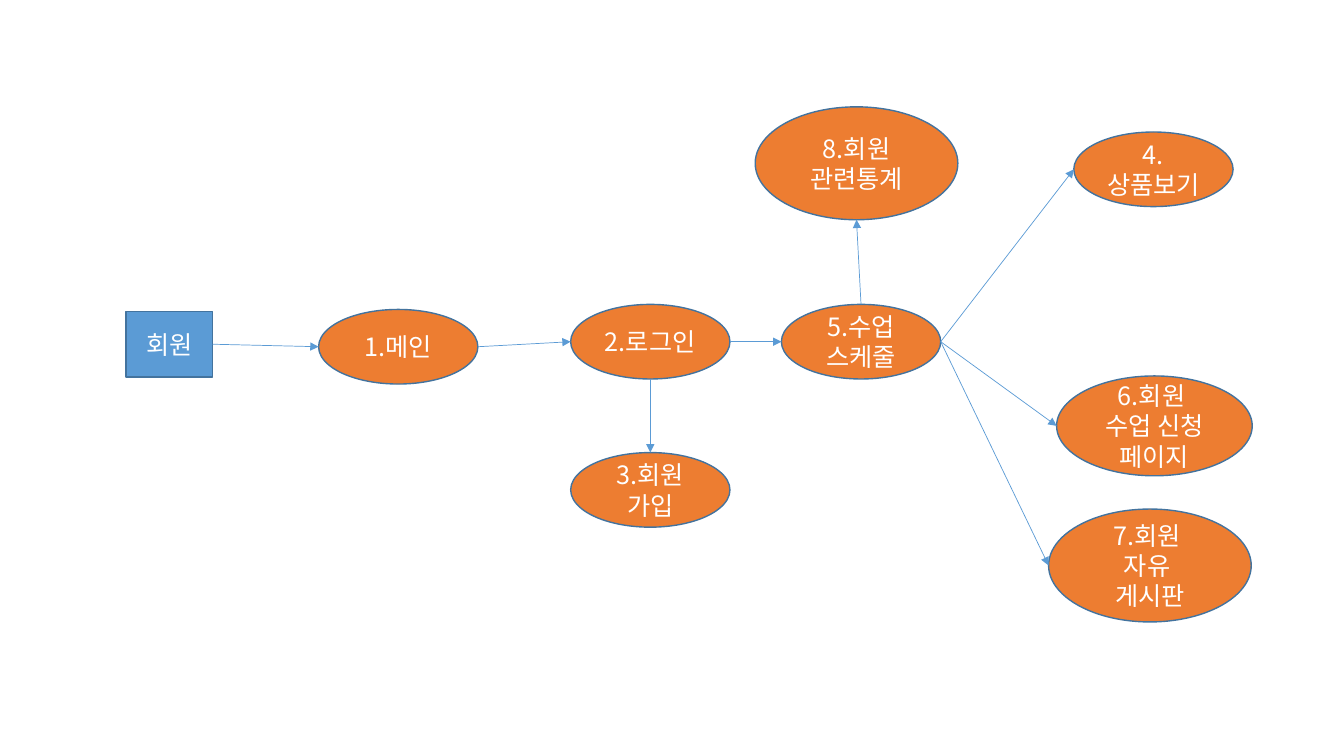
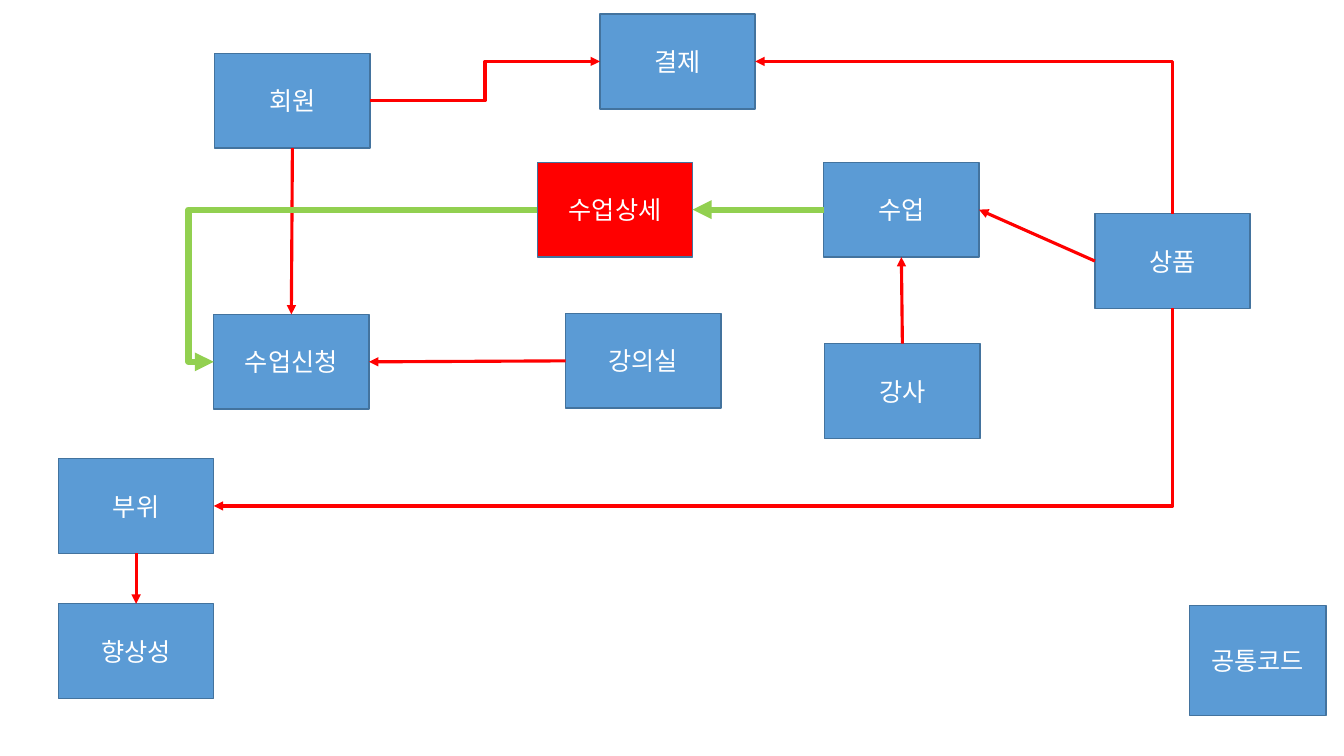
from pptx import Presentation
from pptx.dml.color import RGBColor
from pptx.enum.shapes import MSO_CONNECTOR as Link, MSO_SHAPE as Kind
from pptx.enum.text import MSO_ANCHOR, PP_ALIGN
from pptx.oxml.ns import qn
from pptx.util import Inches, Pt
from lxml import etree

FONT = "Noto Sans CJK KR"
COLORS = {"blue": "5B9BD5", "orange": "ED7D31", "red": "FF0000",
          "green": "92D050", "edge": "43739E", "white": "FFFFFF"}
HEX = {name: RGBColor.from_string(code) for name, code in COLORS.items()}
# Connection sites of a rectangle; an ellipse has twice as many
TOP, LEFT, BOTTOM, RIGHT = range(4)


def add_node(slide, kind, color, text, x, y, w, h):
    node = slide.shapes.add_shape(kind, Inches(x), Inches(y), Inches(w), Inches(h))
    node.shadow.inherit = False
    node.fill.solid()
    node.fill.fore_color.rgb = HEX[color]
    node.line.color.rgb = HEX["edge"]
    node.line.width = Pt(1)
    frame = node.text_frame
    frame.word_wrap = True
    frame.vertical_anchor = MSO_ANCHOR.MIDDLE
    frame.text = text
    for para in frame.paragraphs:
        para.alignment = PP_ALIGN.CENTER
        font = para.font
        font.size = Pt(18)
        font.name = FONT
        font.color.rgb = HEX["white"]
        etree.SubElement(font._element, qn("a:ea"), typeface=FONT)
    return node


def add_arrow(slide, start, side, end, goal, color, width, link=Link.STRAIGHT):
    arrow = slide.shapes.add_connector(link, 0, 0, 0, 0)
    arrow.begin_connect(start, side)
    arrow.end_connect(end, goal)
    for tag, node in (("a:stCxn", start), ("a:endCxn", end)):
        if node.auto_shape_type == Kind.OVAL:
            site = arrow._element.xpath(".//" + tag)[0]
            site.set("idx", str(2 * int(site.get("idx"))))
    arrow.line.color.rgb = HEX[color]
    arrow.line.width = Pt(width)
    props = arrow._element.spPr
    etree.SubElement(props.find(qn("a:ln")), qn("a:tailEnd"), type="triangle")
    etree.SubElement(props, qn("a:effectLst"))
    return arrow


deck = Presentation()
deck.slide_width, deck.slide_height = Inches(13.33), Inches(7.5)
blank = deck.slide_layouts[6]

# Slide 1: page flow for a member
slide = deck.slides.add_slide(blank)
pages = {
    1: ("1.메인", 3.16, 3.07, 1.58, 0.74),
    2: ("2.로그인", 5.66, 3.02, 1.58, 0.74),
    3: ("3.회원 가입", 5.66, 4.49, 1.58, 0.74),
    4: ("4.상품보기", 10.65, 1.31, 1.58, 0.74),
    5: ("5.수업 스케줄", 7.75, 3.02, 1.58, 0.74),
    6: ("6.회원 \n수업 신청 페이지", 10.48, 3.73, 1.94, 0.99),
    7: ("7.회원 \n자유 \n게시판", 10.4, 5.05, 2.01, 1.12),
    8: ("8.회원 관련통계", 7.49, 1.06, 2.01, 1.12),
}
nodes = {key: add_node(slide, Kind.OVAL, "orange", *page)
         for key, page in pages.items()}
nodes[0] = add_node(slide, Kind.RECTANGLE, "blue", "회원", 1.25, 3.09, 0.86, 0.65)

flows = [(0, RIGHT, 1, LEFT), (1, RIGHT, 2, LEFT), (2, BOTTOM, 3, TOP),
         (2, RIGHT, 5, LEFT), (5, RIGHT, 4, LEFT), (5, RIGHT, 6, LEFT),
         (5, RIGHT, 7, LEFT), (5, TOP, 8, BOTTOM)]
for start, side, end, goal in flows:
    add_arrow(slide, nodes[start], side, nodes[end], goal, "blue", 0.5)

# Slide 2: tables and their relations
slide = deck.slides.add_slide(blank)
W, H = 1.54, 0.94
spots = {
    "회원": (2.13, 0.53), "강사": (8.18, 3.41), "상품": (10.86, 2.12),
    "수업": (8.17, 1.61), "수업신청": (2.12, 3.12), "부위": (0.58, 4.55),
    "향상성": (0.58, 5.99), "결제": (5.95, 0.14), "강의실": (5.61, 3.11),
    "수업상세": (5.33, 1.61),
}
nodes = {}
for name, (x, y) in spots.items():
    color = "red" if name == "수업상세" else "blue"
    nodes[name] = add_node(slide, Kind.RECTANGLE, color, name, x, y, W, H)
add_node(slide, Kind.RECTANGLE, "blue", "공통코드", 11.8, 6.01, 1.35, 1.09)

# Straight relations
ties = [("상품", LEFT, "수업", RIGHT), ("회원", BOTTOM, "수업신청", TOP),
        ("부위", BOTTOM, "향상성", TOP), ("강의실", LEFT, "수업신청", RIGHT),
        ("강사", TOP, "수업", BOTTOM)]
for start, side, end, goal in ties:
    add_arrow(slide, nodes[start], side, nodes[end], goal, "red", 2.25)

# One-corner relations: a turned frame, so width and height trade places
for side, end, turn in ((BOTTOM, "부위", 90), (TOP, "결제", 270)):
    arrow = add_arrow(slide, nodes["상품"], side, nodes[end], RIGHT,
                      "red", 2.25, Link.ELBOW)
    x, y, w, h = arrow.left, arrow.top, arrow.width, arrow.height
    arrow.left, arrow.top = x + (w - h) // 2, y + (h - w) // 2
    arrow.width, arrow.height = h, w
    frame = arrow._element.spPr.find(qn("a:xfrm"))
    for flip in ("flipH", "flipV"):
        frame.attrib.pop(flip, None)
    frame.set("rot", str(turn * 60000))
    if side == TOP:
        frame.set("flipV", "1")
    arrow._element.spPr.find(qn("a:prstGeom")).set("prst", "bentConnector2")

# Two-corner relations
add_arrow(slide, nodes["회원"], RIGHT, nodes["결제"], LEFT, "red", 2.25, Link.ELBOW)
add_arrow(slide, nodes["수업"], LEFT, nodes["수업상세"], RIGHT, "green", 4.5)
loop = add_arrow(slide, nodes["수업상세"], LEFT, nodes["수업신청"], LEFT,
                 "green", 4.5, Link.ELBOW)
guides = loop._element.spPr.find(qn("a:prstGeom")).get_or_add_avLst()
etree.SubElement(guides, qn("a:gd"), name="adj1", fmla="val 107800")

deck.save("out.pptx")
